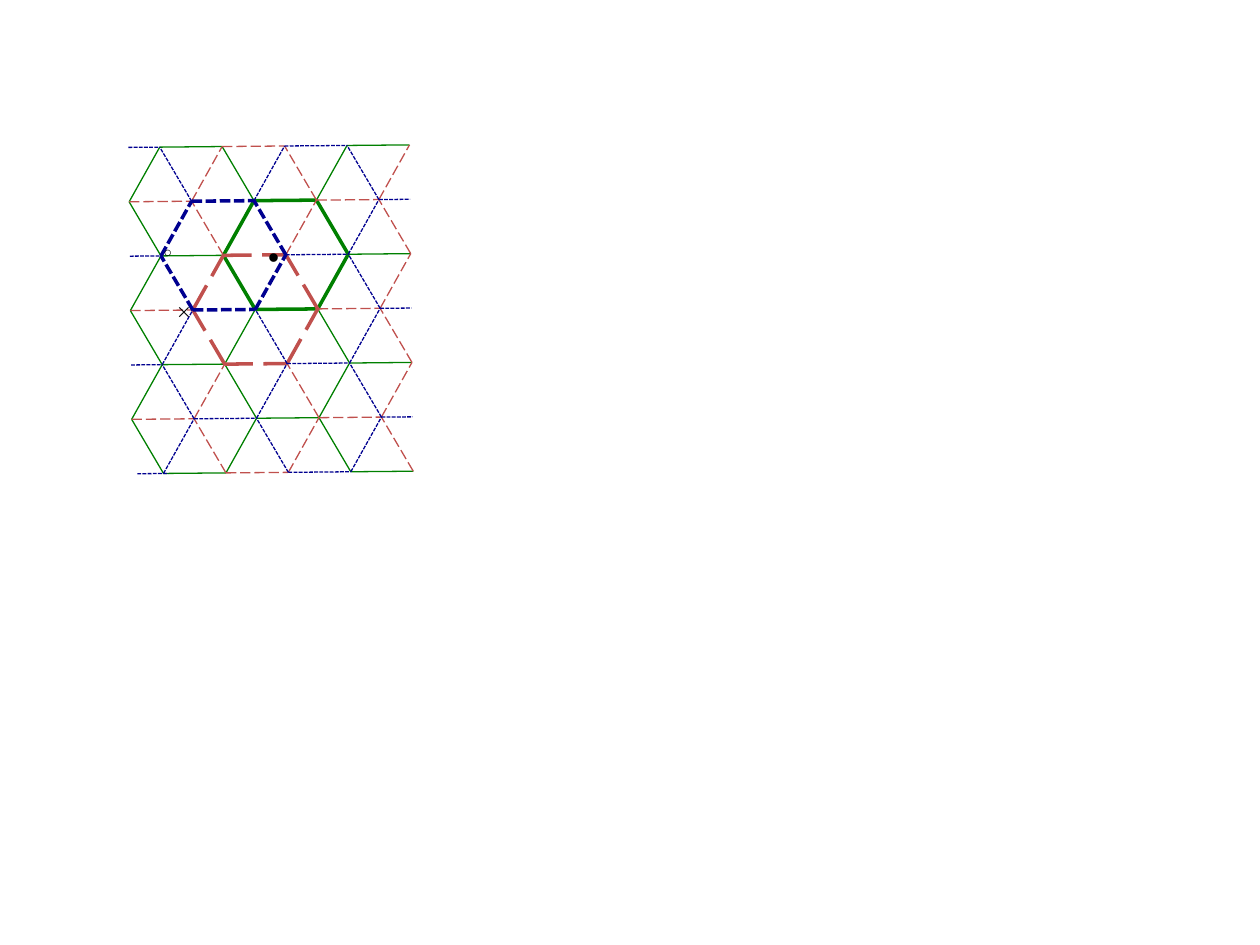
from lxml import etree
from pptx import Presentation
from pptx import util as u
from pptx.dml.color import RGBColor
from pptx.enum import dml, shapes, text
from pptx.oxml import ns

COLORS = {"green": "008000", "red": "C0504D", "blue": "000090", "black": "000000"}
FAMILIES = [
    {"color": "green", "missing": 2, "hub": (5, 2), "dash": None},
    {"color": "red", "missing": 1, "hub": (4, 3), "dash": dml.MSO_LINE.LONG_DASH},
    {"color": "blue", "missing": 0, "hub": (3, 2), "dash": dml.MSO_LINE.SQUARE_DOT},
]
MARKS = [
    ("•", 2.03, 1.83, 0.32, 0.4, 18, "Arial"),
    ("×", 1.3, 2.35, 0.33, 0.25, 9, "Noto Sans CJK JP"),
    ("○", 1.2, 1.88, 0.3, 0.24, 8, "Arial"),
]
LAST_COL, LAST_ROW = 9, 6
LEFT, TOP, WIDTH, HEIGHT = 1.02, 1.17, 2.23, 2.59
LEAN, TILT = 0.03, 0.02
STEPS = [(2, 0), (1, -1), (-1, -1)]
THIN, THICK = 0.75, 2
BOTTOM_STUB_SHIFT = 0.04


def node(col, row):
    x = LEFT + WIDTH * col / LAST_COL + LEAN * row / LAST_ROW
    y = TOP + HEIGHT * row / LAST_ROW - TILT * col / LAST_COL
    return x, y


def on_ring(point, hub):
    across, down = abs(point[0] - hub[0]), abs(point[1] - hub[1])
    return (across, down) in [(2, 0), (1, 1)]


def draw_edge(page, start, end, family, weight, shift=0):
    (x1, y1), (x2, y2) = node(*start), node(*end)
    edge = page.shapes.add_connector(
        shapes.MSO_CONNECTOR.STRAIGHT,
        u.Inches(x1 + shift), u.Inches(y1), u.Inches(x2 + shift), u.Inches(y2))
    edge.line.color.rgb = RGBColor.from_string(COLORS[family["color"]])
    edge.line.width = u.Pt(weight)
    if family["dash"] is not None:
        edge.line.dash_style = family["dash"]
    etree.SubElement(edge._element.spPr, ns.qn("a:effectLst"))


def draw_mark(page, symbol, left, top, width, height, size, font):
    box = page.shapes.add_textbox(*map(u.Inches, (left, top, width, height)))
    frame = box.text_frame
    frame.text = symbol
    frame.word_wrap = False
    frame.auto_size = text.MSO_AUTO_SIZE.SHAPE_TO_FIT_TEXT
    span = frame.paragraphs[0].runs[0]
    span.font.size = u.Pt(size)
    span.font.name = font
    span.font.color.rgb = RGBColor.from_string(COLORS["black"])
    if font != "Arial":
        east = etree.SubElement(span.font._element, ns.qn("a:ea"))
        east.set("typeface", font)


deck = Presentation()
deck.slide_width, deck.slide_height = u.Inches(10), u.Inches(7.5)
page = deck.slides.add_slide(deck.slide_layouts[6])

nodes = [(col, row) for row in range(LAST_ROW + 1)
         for col in range(LAST_COL + 1) if (col + row) % 2]
edges = [(start, (start[0] + dx, start[1] + dy))
         for start in nodes for dx, dy in STEPS
         if (start[0] + dx, start[1] + dy) in nodes]

for family in FAMILIES:
    for start, end in edges:
        if -(start[0] + end[0]) % 3 == family["missing"]:
            bold = all(on_ring(point, family["hub"]) for point in (start, end))
            draw_edge(page, start, end, family, THICK if bold else THIN)

blue = FAMILIES[-1]
for row in range(LAST_ROW + 1):
    col = LAST_COL - 1 if row % 2 else 0
    shift = BOTTOM_STUB_SHIFT if row == LAST_ROW else 0
    draw_edge(page, (col, row), (col + 1, row), blue, THIN, shift)

for mark in MARKS:
    draw_mark(page, *mark)

deck.save("out.pptx")
